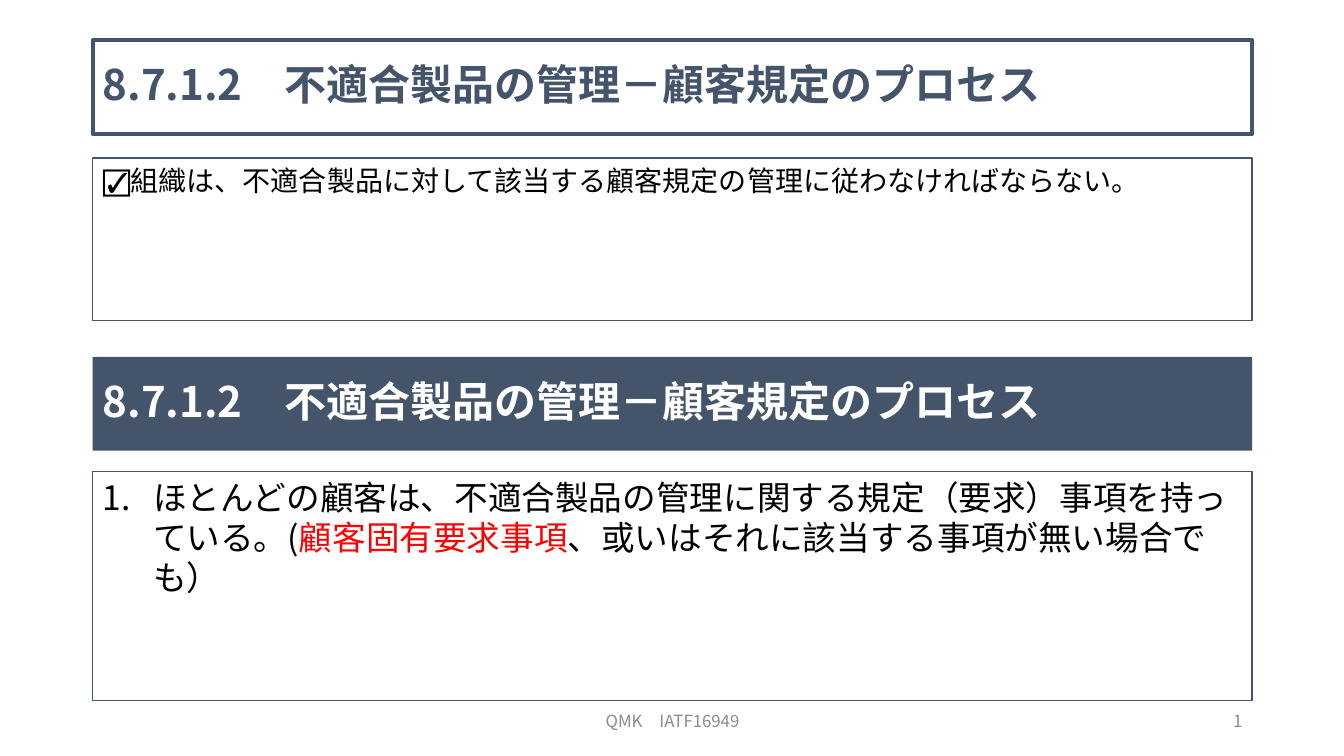
from dataclasses import dataclass

from lxml import etree
from pptx import Presentation
from pptx.dml.color import RGBColor
from pptx.enum.shapes import MSO_SHAPE
from pptx.enum.text import MSO_ANCHOR, PP_ALIGN
from pptx.oxml.ns import qn
from pptx.util import Emu, Inches, Pt

RECTANGLE = MSO_SHAPE.RECTANGLE
TOP, MIDDLE = MSO_ANCHOR.TOP, MSO_ANCHOR.MIDDLE
LEFT, CENTER, RIGHT = PP_ALIGN.LEFT, PP_ALIGN.CENTER, PP_ALIGN.RIGHT

FONT = "Noto Sans CJK JP"
COLORS = {
    "slate": "44546A",
    "white": "FFFFFF",
    "black": "000000",
    "red": "FF0000",
    "grey": "8C8C8C",
}
PAGE_WIDTH, PAGE_HEIGHT = Inches(13.33), Inches(7.5)

# Shares of the slide's width and height
MARGIN, CONTENT_WIDTH = 0.069, 0.8627
HEADING_HEIGHT = 0.124
FOOTER_TOP, FOOTER_HEIGHT = 0.9267, 0.0533

HEADING = "8.7.1.2\u3000不適合製品の管理－顧客規定のプロセス".replace("\u3000", "　")
REQUIREMENT = "☑組織は、不適合製品に対して該当する顧客規定の管理に従わなければならない。"


@dataclass(frozen=True)
class Span:
    text: str
    color: str = "black"


@dataclass(frozen=True)
class Panel:
    top: float
    height: float
    spans: tuple[Span, ...]
    size: int
    fill: str | None = None
    line: float | None = 1
    heading: bool = False
    numbered: bool = False


@dataclass(frozen=True)
class FooterItem:
    text: str
    left: float
    width: float
    align: PP_ALIGN


PANELS = (
    Panel(0.0533, HEADING_HEIGHT, (Span(HEADING, "slate"),), 30,
          fill="white", line=3, heading=True),
    Panel(0.2093, 0.2147, (Span(REQUIREMENT),), 20),
    Panel(0.472, HEADING_HEIGHT, (Span(HEADING, "white"),), 30,
          fill="slate", line=None, heading=True),
    Panel(0.624, 0.3027, (
        Span("ほとんどの顧客は、不適合製品の管理に関する規定（要求）事項を持っている。("),
        Span("顧客固有要求事項", "red"),
        Span("、或いはそれに該当する事項が無い場合でも）"),
    ), 24, numbered=True),
)
FOOTER = (
    FooterItem("QMK　IATF16949", 0.3316, 0.3376, CENTER),
    FooterItem("1", 0.7067, 0.2251, RIGHT),
)


def color_of(name: str) -> RGBColor:
    return RGBColor.from_string(COLORS[name])


def area(left: float, top: float, width: float, height: float) -> tuple[Emu, ...]:
    return (Emu(int(PAGE_WIDTH * left)), Emu(int(PAGE_HEIGHT * top)),
            Emu(int(PAGE_WIDTH * width)), Emu(int(PAGE_HEIGHT * height)))


def write_text(box, spans, *, size, bold=False, align=LEFT, anchor=TOP,
               line_spacing=None, space_before=0):
    frame = box.text_frame
    frame.word_wrap = True
    frame.vertical_anchor = anchor
    para = frame.paragraphs[0]
    para.alignment = align
    para.space_before = Pt(space_before)
    if line_spacing:
        para.line_spacing = line_spacing
    for span in spans:
        run = para.add_run()
        run.text = span.text
        run.font.name = FONT
        run.font.size = Pt(size)
        run.font.bold = bold
        run.font.color.rgb = color_of(span.color)
        east_asian = etree.SubElement(run.font._element, qn("a:ea"))
        east_asian.set("typeface", FONT)
    return para


def number_paragraph(para, indent: Emu) -> None:
    properties = para._p.get_or_add_pPr()
    properties.set("marL", str(indent))
    properties.set("indent", str(-indent))
    bullet_font = etree.SubElement(properties, qn("a:buFont"))
    bullet_font.set("typeface", "+mj-lt")
    numbering = etree.SubElement(properties, qn("a:buAutoNum"))
    numbering.set("type", "arabicPeriod")


def draw_panel(page, panel: Panel) -> None:
    box = page.shapes.add_shape(
        RECTANGLE, *area(MARGIN, panel.top, CONTENT_WIDTH, panel.height))
    box.shadow.inherit = False
    if panel.fill:
        box.fill.solid()
        box.fill.fore_color.rgb = color_of(panel.fill)
    else:
        box.fill.background()
    if panel.line:
        box.line.color.rgb = color_of("slate")
        box.line.width = Pt(panel.line)
    else:
        box.line.fill.background()
    para = write_text(
        box, panel.spans, size=panel.size, bold=panel.heading,
        anchor=MIDDLE if panel.heading else TOP,
        line_spacing=0.9 if panel.heading else None,
        space_before=0 if panel.heading else 10)
    if panel.numbered:
        number_paragraph(para, Inches(0.5))


def draw_footer_item(page, item: FooterItem) -> None:
    box = page.shapes.add_textbox(
        *area(item.left, FOOTER_TOP, item.width, FOOTER_HEIGHT))
    write_text(box, (Span(item.text, "grey"),), size=12,
               align=item.align, anchor=MIDDLE)


def main() -> None:
    deck = Presentation()
    deck.slide_width, deck.slide_height = PAGE_WIDTH, PAGE_HEIGHT
    page = deck.slides.add_slide(deck.slide_layouts[6])

    # Headings and their body panels
    for panel in PANELS:
        draw_panel(page, panel)

    # Footer text and page number
    for item in FOOTER:
        draw_footer_item(page, item)

    deck.save("out.pptx")


if __name__ == "__main__":
    main()
